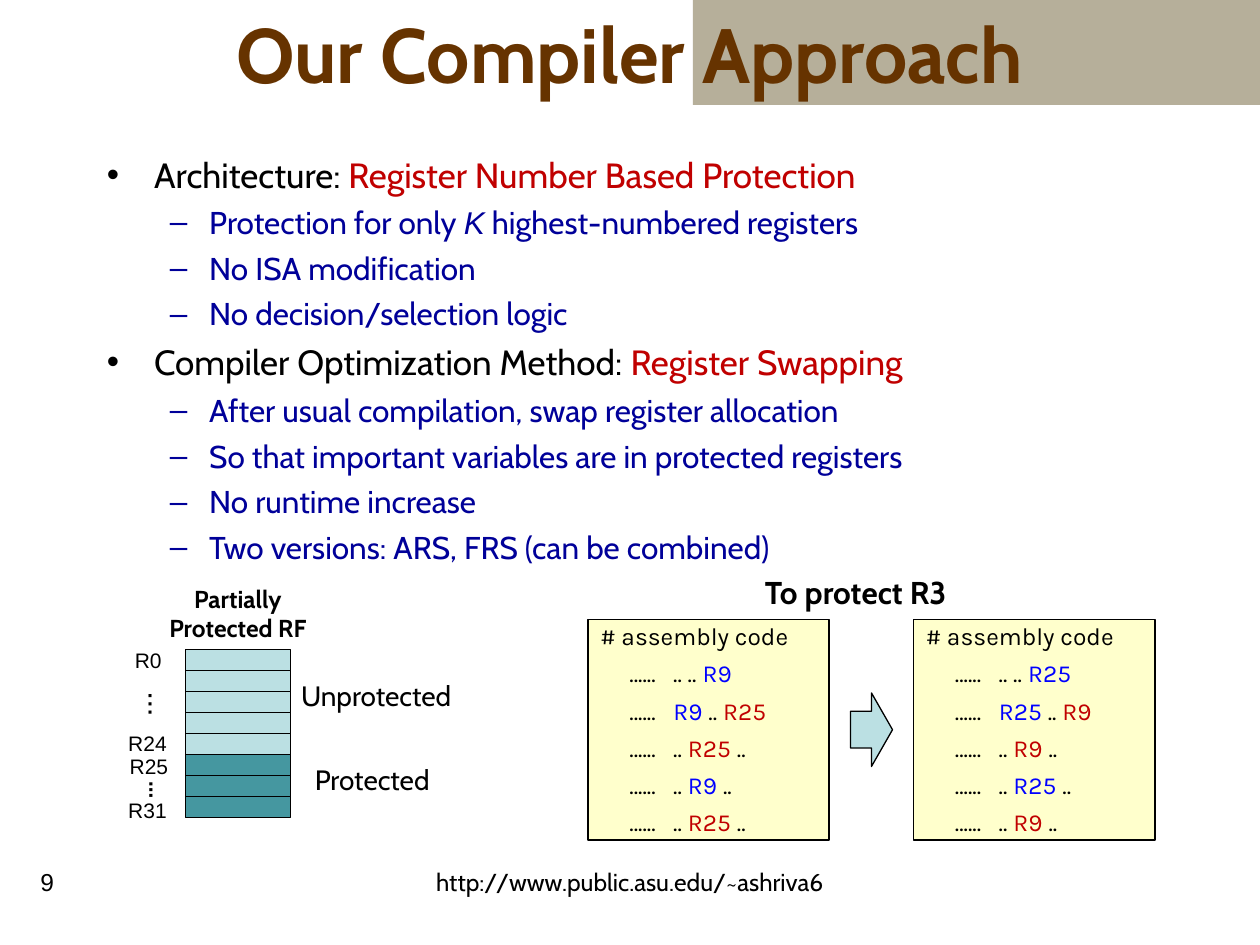
from lxml import etree
from pptx import Presentation
from pptx import util as u
from pptx.dml.color import RGBColor
from pptx.enum import shapes, text
from pptx.oxml.ns import qn

BLACK = RGBColor(0x00, 0x00, 0x00)
BROWN = RGBColor(0x66, 0x33, 0x00)
NAVY = RGBColor(0x00, 0x00, 0x99)
BLUE = RGBColor(0x00, 0x00, 0xFF)
RED = RGBColor(0xC0, 0x00, 0x00)
SAND = RGBColor(0xB6, 0xAF, 0x9A)
CREAM = RGBColor(0xFF, 0xFF, 0xCC)
PALE_TEAL = RGBColor(0xBB, 0xE0, 0xE3)
TEAL = RGBColor(0x45, 0x97, 0xA0)

LEFT, CENTER, JUSTIFY = text.PP_ALIGN.LEFT, text.PP_ALIGN.CENTER, text.PP_ALIGN.JUSTIFY
RECTANGLE = shapes.MSO_SHAPE.RECTANGLE

# Bullet level: character, left margin, hanging indent, space before, size, colour
BULLETS = [("•", 27, 27, 5, 20, BLACK), ("–", 58.5, 22.5, 4.5, 18, NAVY)]


def add_run(paragraph, content, size=14, font="Cabin", color=BLACK, bold=False, italic=False):
    run = paragraph.add_run()
    run.text = content
    run.font.size = u.Pt(size)
    run.font.name = font
    run.font.color.rgb = color
    run.font.bold = bold
    run.font.italic = italic


def add_text(slide, content, left, top, width, height, align=LEFT,
             anchor=text.MSO_ANCHOR.TOP, vertical=False, **style):
    """Add a text box with one paragraph for each line of content."""
    box = slide.shapes.add_textbox(u.Pt(left), u.Pt(top), u.Pt(width), u.Pt(height))
    frame = box.text_frame
    frame.word_wrap = True
    frame.vertical_anchor = anchor
    if vertical:
        frame._txBody.bodyPr.set("vert", "eaVert")
        frame.margin_left = frame.margin_right = u.Pt(3.6)
        frame.margin_top = frame.margin_bottom = u.Pt(0)
    for index, line in enumerate(content.split("\n")):
        paragraph = frame.add_paragraph() if index else frame.paragraphs[0]
        paragraph.alignment = align
        add_run(paragraph, line, **style)


def add_box(slide, kind, left, top, width, height, fill, line_width=None):
    shape = slide.shapes.add_shape(kind, u.Pt(left), u.Pt(top), u.Pt(width), u.Pt(height))
    shape.shadow.inherit = False
    shape.fill.solid()
    shape.fill.fore_color.rgb = fill
    if line_width:
        shape.line.color.rgb = BLACK
        shape.line.width = u.Pt(line_width)
    else:
        shape.line.fill.background()
    return shape


def set_bullet(paragraph, character, margin, hanging, color):
    properties = paragraph._p.get_or_add_pPr()
    properties.set("marL", str(u.Pt(margin)))
    properties.set("indent", str(-u.Pt(hanging)))
    bullet_color = etree.SubElement(properties, qn("a:buClr"))
    etree.SubElement(bullet_color, qn("a:srgbClr"), val=str(color))
    etree.SubElement(properties, qn("a:buFont"), typeface="Arial")
    etree.SubElement(properties, qn("a:buChar"), char=character)


def add_bullets(slide, items, left, top, width, height):
    """Add bullets from items of (level, runs), each run a text and its format."""
    box = slide.shapes.add_textbox(u.Pt(left), u.Pt(top), u.Pt(width), u.Pt(height))
    frame = box.text_frame
    frame.word_wrap = True
    for index, (level, runs) in enumerate(items):
        character, margin, hanging, space, size, color = BULLETS[level]
        paragraph = frame.add_paragraph() if index else frame.paragraphs[0]
        paragraph.level = level
        paragraph.alignment = JUSTIFY
        set_bullet(paragraph, character, margin, hanging, color)
        if index:
            paragraph.space_before = u.Pt(space)
        for content, style in runs:
            add_run(paragraph, content, **{"size": size, "color": color, **style})


def add_code(slide, left, first, second):
    """Add an assembly listing; the first register is blue, the second red."""
    shape = add_box(slide, RECTANGLE, left, 354, 138, 126, CREAM, 1)
    frame = shape.text_frame
    frame.word_wrap = True
    frame.vertical_anchor = text.MSO_ANCHOR.TOP
    start = "     ......   "
    blue, red = (first, BLUE), (second, RED)
    lines = [
        [("# assembly code", BLACK)],
        [(start + ".. .. ", BLACK), blue],
        [(start, BLACK), blue, (" .. ", BLACK), red],
    ]
    lines += [[(start + ".. ", BLACK), register, (" ..", BLACK)] for register in (red, blue, red)]
    for index, runs in enumerate(lines):
        paragraph = frame.add_paragraph() if index else frame.paragraphs[0]
        paragraph.alignment = LEFT
        paragraph.line_spacing = 0.85
        if index:
            paragraph.space_before = u.Pt(7)
        for content, color in runs:
            add_run(paragraph, content, font="Karla", color=color)


def add_register_file(slide):
    # Five unprotected registers above three protected ones
    for row in range(8):
        fill = PALE_TEAL if row < 5 else TEAL
        add_box(slide, RECTANGLE, 106, 371.2 + 12 * row, 60, 12, fill, 0.75)
    add_text(slide, "Partially\nProtected RF", 80, 330, 112, 41, align=CENTER, bold=True)

    # Register numbers
    for name, left, top in [("R0", 70, 366.5), ("R24", 66.2, 414),
                            ("R25", 67, 427), ("R31", 66.2, 452.2)]:
        add_text(slide, name, left, top, 48, 21.6, size=12, font="Arial")
    add_text(slide, "…", 70.5, 396, 38, 30, vertical=True, size=20)
    add_text(slide, "…", 72, 446.5, 31, 24, vertical=True, bold=True)

    # Region names
    add_text(slide, "Unprotected", 165, 384, 120, 26.6, size=16)
    add_text(slide, "Protected", 172.8, 432, 100, 26.6, size=16)


def main():
    presentation = Presentation()
    presentation.slide_width, presentation.slide_height = u.Pt(720), u.Pt(540)
    slide = presentation.slides.add_slide(presentation.slide_layouts[6])

    # Header band and title
    add_box(slide, RECTANGLE, 396, 0, 324, 60, SAND)
    add_text(slide, "Our Compiler Approach", 54, 0, 612, 60, align=CENTER,
             anchor=text.MSO_ANCHOR.MIDDLE, size=44, color=BROWN, bold=True)

    # Main points
    red = {"color": RED}
    items = [
        (0, [("Architecture: ", {}), ("Register Number Based Protection", red)]),
        (1, [("Protection for only ", {}), ("K", {"font": "Arial", "italic": True}),
             (" highest-numbered registers", {})]),
        (1, [("No ISA modification", {})]),
        (1, [("No decision/selection logic", {})]),
        (0, [("Compiler Optimization Method: ", {}), ("Register Swapping", red)]),
        (1, [("After usual compilation, swap register allocation", {})]),
        (1, [("So that important variables are in protected registers", {})]),
        (1, [("No runtime increase", {})]),
        (1, [("Two versions: ARS, FRS (can be combined)", {})]),
    ]
    add_bullets(slide, items, 54, 84, 612, 252)

    # Footer
    add_text(slide, "http://www.public.asu.edu/~ashriva6", 192, 492, 336, 36, align=CENTER)
    add_text(slide, "9", 6, 492, 42, 36, align=CENTER, font="Arial")

    # Register file and the code before and after swapping
    add_register_file(slide)
    add_text(slide, "To protect R3", 430, 324, 150, 29, size=18, bold=True)
    add_code(slide, 336, "R9", "R25")
    add_box(slide, shapes.MSO_SHAPE.RIGHT_ARROW, 486, 396, 24, 42, PALE_TEAL, 0.75)
    add_code(slide, 522, "R25", "R9")

    presentation.save("out.pptx")


if __name__ == "__main__":
    main()
